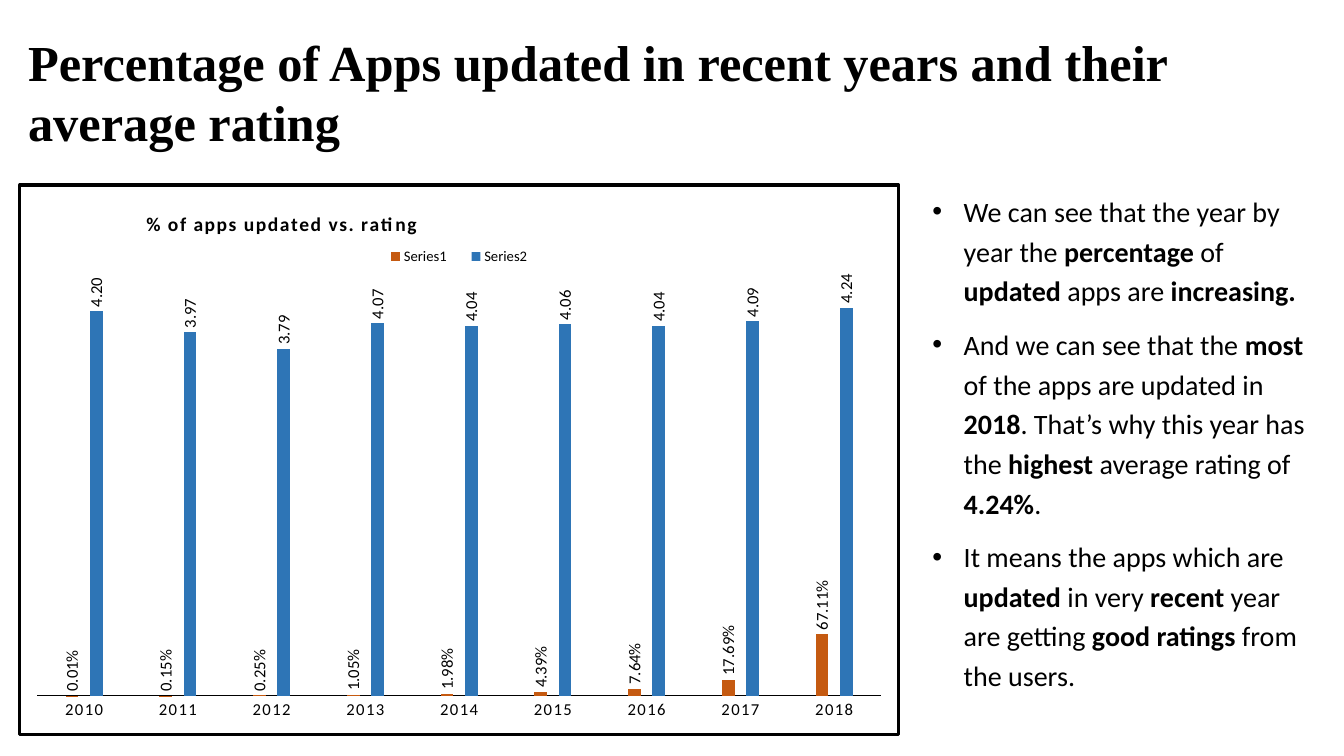
import pptx
import pptx.util
import pptx.dml.color
import pptx.chart.data
import pptx.enum.chart
import pptx.enum.text
import pptx.oxml
import pptx.oxml.ns

Inches, Pt = pptx.util.Inches, pptx.util.Pt
qn = pptx.oxml.ns.qn
enum = pptx.enum.chart
BLACK = "000000"


def paint(fill, shade):
    fill.solid()
    fill.fore_color.rgb = pptx.dml.color.RGBColor.from_string(shade)


def style(font, **form):
    for key, value in form.items():
        setattr(font, key, value)
    paint(font.fill, BLACK)


deck = pptx.Presentation()
deck.slide_width, deck.slide_height = Inches(13.33), Inches(7.5)
slide = deck.slides.add_slide(deck.slide_layouts[6])

# Heading and notes; asterisks set off bold words
heading = "*Percentage of Apps updated in recent years and their average rating*"
notes = [
    "We can see that the year by year the *percentage* of *updated* apps are *increasing. *",
    "And we can see that the *most* of the apps are updated in *2018*. That’s why "
    "this year has the *highest* average rating of *4.24%*.",
    "It means the apps which are *updated* in very *recent* year are getting "
    "*good ratings *from the users.",
]
anchor = pptx.enum.text.MSO_ANCHOR
blocks = [
    ((0.18, 0.19, 12.23, 1.43), [heading], "Times New Roman", 36, anchor.MIDDLE),
    ((9.15, 1.82, 3.99, 5.48), notes, "Calibri", 20, anchor.TOP),
]
for place, lines, face, size, side in blocks:
    frame = slide.shapes.add_textbox(*map(Inches, place)).text_frame
    frame.word_wrap = True
    frame.vertical_anchor = side
    for i, line in enumerate(lines):
        para = frame.add_paragraph() if i else frame.paragraphs[0]
        for j, part in enumerate(line.split("*")):
            if part:
                run = para.add_run()
                run.text = part
                style(run.font, name=face, size=Pt(size), bold=j % 2 == 1)
        if lines is notes:
            para.line_spacing = 1.18
            para.space_before = Pt(10)
            props = para._p.get_or_add_pPr()
            props.set("marL", str(Inches(0.31)))
            props.set("indent", str(-Inches(0.31)))
            font = props.makeelement(qn("a:buFont"), {"typeface": "Arial"})
            mark = props.makeelement(qn("a:buChar"), {"char": "•"})
            props.extend([font, mark])

# Chart of share updated and average rating
shares = [0.0001, 0.0015, 0.0025, 0.0105, 0.0198, 0.0439, 0.0764, 0.1769, 0.6711]
ratings = [4.20, 3.97, 3.79, 4.07, 4.04, 4.06, 4.04, 4.09, 4.24]
data = pptx.chart.data.CategoryChartData()
data.categories = [str(year) for year in range(2010, 2019)]
data.add_series("Series1", shares, "0.00%")
data.add_series("Series2", ratings, "0.00")
place = map(Inches, (0.18, 1.82, 8.75, 5.48))
chart = slide.shapes.add_chart(
    enum.XL_CHART_TYPE.COLUMN_CLUSTERED, *place, data).chart
style(chart.font, name="Calibri", size=Pt(10))

# Bars and upright labels
plot = chart.plots[0]
plot.gap_width, plot.overlap, plot.vary_by_categories = 444, -90, False
for row, shade, code in zip(plot.series, ("C55A11", "2E75B6"), ("0.00%", "0.00")):
    paint(row.format.fill, shade)
    tags = row.data_labels
    form = {"show_value": True, "position": enum.XL_LABEL_POSITION.OUTSIDE_END,
            "number_format": code, "number_format_is_linked": False}
    for key, value in form.items():
        setattr(tags, key, value)
    style(tags.font, name="Calibri", size=Pt(12))
    body = tags._element.find(qn("c:txPr")).find(qn("a:bodyPr"))
    body.set("rot", "-5400000")
    body.set("vert", "horz")

# Axes
years, scale = chart.category_axis, chart.value_axis
years.major_tick_mark = enum.XL_TICK_MARK.NONE
years.format.line.width = Pt(0.75)
paint(years.format.line.fill, BLACK)
style(years.tick_labels.font, name="Calibri", size=Pt(12))
years.tick_labels.font._element.set("spc", "100")
form = {"visible": False, "has_major_gridlines": False,
        "minimum_scale": 0, "maximum_scale": 4.5}
for key, value in form.items():
    setattr(scale, key, value)

# Title and legend
chart.has_title = chart.has_legend = True
title, legend = chart.chart_title, chart.legend
title.include_in_layout = False
run = title.text_frame.paragraphs[0].add_run()
run.text = "% of apps updated vs. rating"
style(run.font, name="Calibri", size=Pt(14), bold=True)
run.font._element.set("spc", "100")
legend.position = enum.XL_LEGEND_POSITION.TOP
legend.include_in_layout = False
style(legend.font, name="Calibri", size=Pt(10.5))

# Placement inside the chart, as shares of its size
space = chart._chartSpace
area = space.chart.plotArea
spots = [
    (title._element, "c:tx", {"x": 0.14, "y": 0.04}),
    (legend._element, "c:legendPos", {"x": 0.4, "y": 0.11, "w": 0.2, "h": 0.04}),
    (area, None, {"x": 0.02, "y": 0.18, "w": 0.96, "h": 0.75}),
]
for part, prior, spot in spots:
    for old in part.findall(qn("c:layout")):
        part.remove(old)
    inner = "" if prior else '<c:layoutTarget val="inner"/>'
    inner += "".join(f'<c:{k}Mode val="edge"/>' for k in "xy")
    inner += "".join(f'<c:{k} val="{v}"/>' for k, v in spot.items())
    layout = pptx.oxml.parse_xml(
        f'<c:layout {pptx.oxml.ns.nsdecls("c")}>'
        f"<c:manualLayout>{inner}</c:manualLayout></c:layout>")
    if prior:
        part.find(qn(prior)).addnext(layout)
    else:
        part.insert(0, layout)

# Chart border
space.chart.addnext(pptx.oxml.parse_xml(
    f'<c:spPr {pptx.oxml.ns.nsdecls("c", "a")}><a:noFill/>'
    f'<a:ln w="{Pt(2.25)}"><a:solidFill><a:srgbClr val="{BLACK}"/>'
    "</a:solidFill></a:ln></c:spPr>"))

deck.save("out.pptx")
